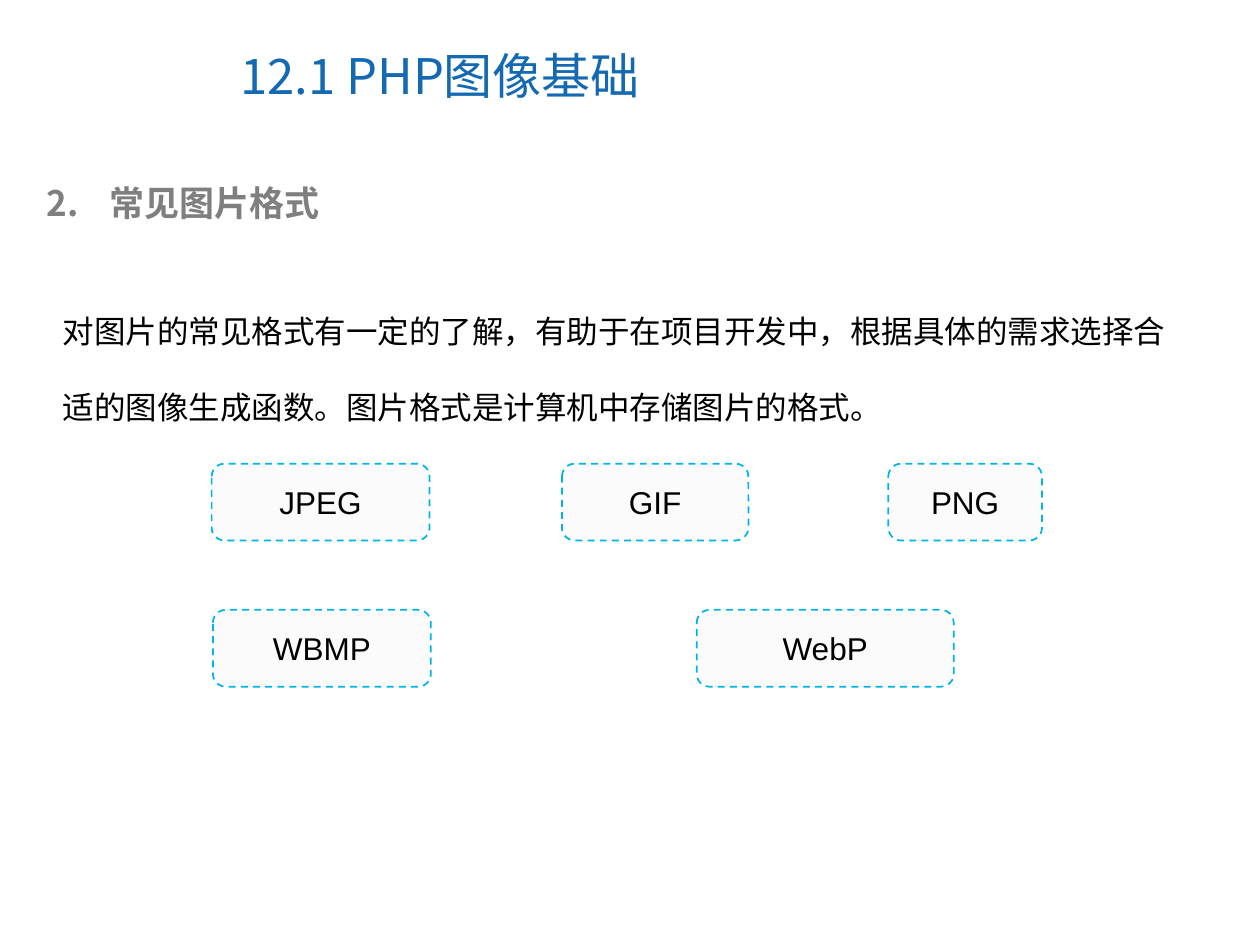
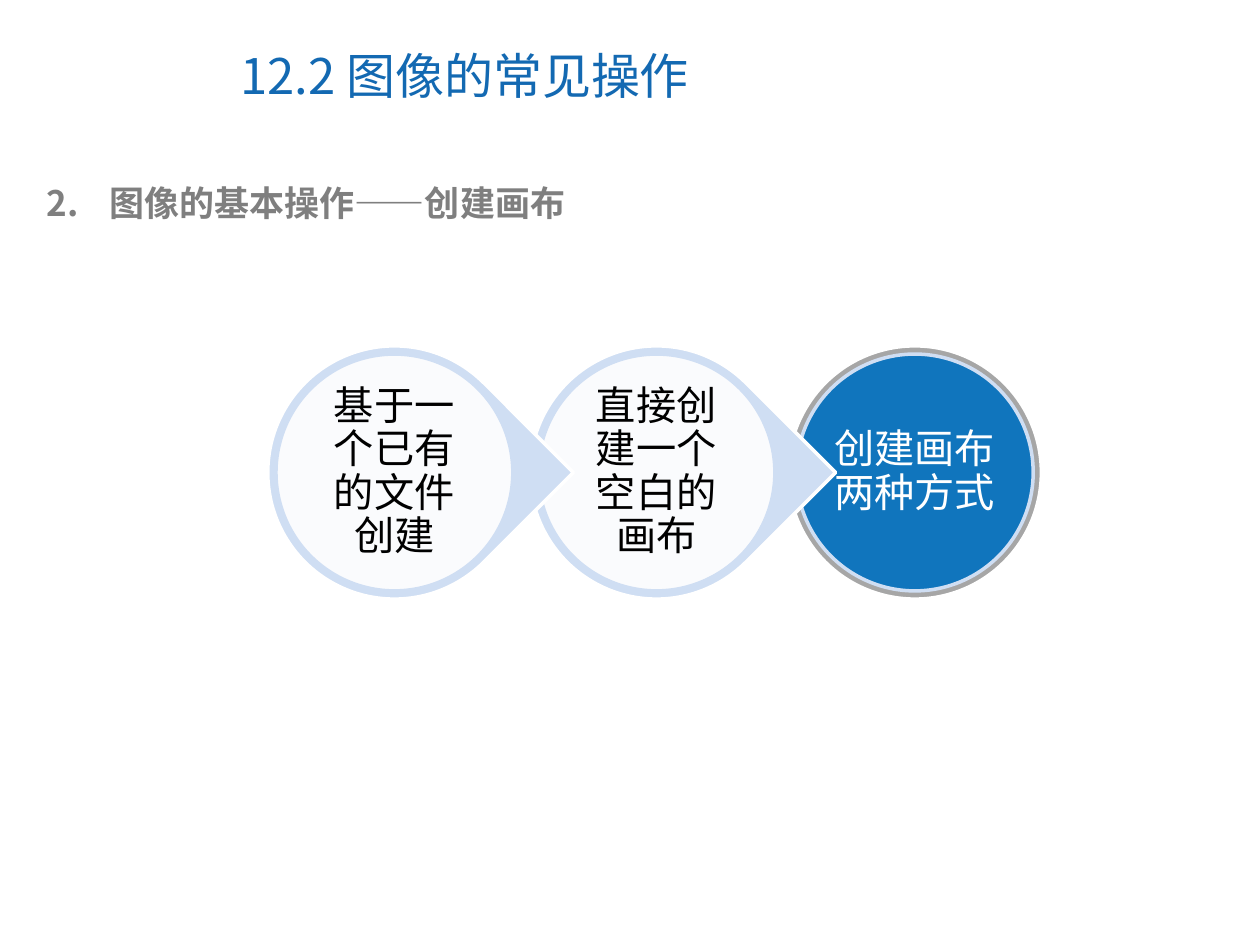
from lxml import etree
from pptx import Presentation
from pptx.dml.color import RGBColor
from pptx.enum.dml import MSO_LINE
from pptx.enum.shapes import MSO_SHAPE
from pptx.enum.text import MSO_ANCHOR, PP_ALIGN
from pptx.oxml.ns import qn
from pptx.util import Inches, Pt

ROUNDED = MSO_SHAPE.ROUNDED_RECTANGLE
OVAL = MSO_SHAPE.OVAL
TEAR = MSO_SHAPE.TEAR
DASH = MSO_LINE.DASH
MIDDLE = MSO_ANCHOR.MIDDLE
TOP = MSO_ANCHOR.TOP
CENTER = PP_ALIGN.CENTER
LEFT = PP_ALIGN.LEFT

COLORS = {
    "title": "1369B2",
    "heading": "7F7F7F",
    "text": "000000",
    "white": "FFFFFF",
    "tag": "FBFBFB",
    "tag_line": "00B4E9",
    "pale_blue": "CFDEF3",
    "ring": "A6A6A6",
    "goal": "0070C0",
}
CJK = "Noto Sans CJK SC"
LATIN = "Arial"

TITLE_BOX = (1.81, 0.17, 5.16, 0.85)
HEADING_BOX = (0.27, 1.39, 9.22, 0.44)
INTRO_BOX = (0.4, 2.13, 9.19, 1.3)
TAG_HEIGHT = 0.61
CIRCLE = 1.88
OUTER = 2.01


def color(name):
    return RGBColor.from_string(COLORS[name])


def style_font(para, size, color_name, name=LATIN, bold=False):
    font = para.font
    font.size = Pt(size)
    font.bold = bold
    font.color.rgb = color(color_name)
    font.name = name
    latin = font._element.find(qn("a:latin"))
    east_asian = etree.Element(qn("a:ea"), typeface=CJK)
    latin.addnext(east_asian)


def number_paragraph(para, start, color_name):
    """Give the paragraph an automatic number with a hanging indent."""
    properties = para._p.get_or_add_pPr()
    properties.set("marL", str(Inches(0.5)))
    properties.set("indent", str(-Inches(0.5)))
    bullet_color = etree.SubElement(properties, qn("a:buClr"))
    etree.SubElement(bullet_color, qn("a:srgbClr"), val=COLORS[color_name])
    etree.SubElement(properties, qn("a:buAutoNum"),
                     type="arabicPeriod", startAt=str(start))


def write(shape, text, align=LEFT, anchor=TOP):
    """Put one paragraph of text into the shape and return it."""
    frame = shape.text_frame
    frame.word_wrap = True
    frame.vertical_anchor = anchor
    para = frame.paragraphs[0]
    para.text = text
    para.alignment = align
    return para


def add_text(page, box, text, anchor=TOP):
    return write(page.shapes.add_textbox(*map(Inches, box)), text, anchor=anchor)


def add_figure(page, kind, box, fill, line, line_width):
    shape = page.shapes.add_shape(kind, *map(Inches, box))
    shape.shadow.inherit = False
    shape.fill.solid()
    shape.fill.fore_color.rgb = color(fill)
    shape.line.color.rgb = color(line)
    shape.line.width = Pt(line_width)
    return shape


def add_page(deck, title, heading):
    """Add a page with the shared title and numbered heading."""
    page = deck.slides.add_slide(deck.slide_layouts[6])
    style_font(add_text(page, TITLE_BOX, title, MIDDLE), 28, "title", CJK)
    para = add_text(page, HEADING_BOX, heading)
    number_paragraph(para, 2, "heading")
    style_font(para, 20, "heading", CJK, bold=True)
    return page


def add_format_tag(page, left, top, width, label):
    tag = add_figure(page, ROUNDED, (left, top, width, TAG_HEIGHT),
                     "tag", "tag_line", 1)
    tag.line.dash_style = DASH
    style_font(write(tag, label, CENTER, MIDDLE), 18, "text")


def centered_box(center_x, center_y, size):
    return center_x - size / 2, center_y - size / 2, size, size


def add_circle(page, center, text, fill, text_color, inset):
    circle = add_figure(page, OVAL, centered_box(*center, CIRCLE),
                        fill, "pale_blue", 2)
    fill_color = circle._element.spPr.find(qn("a:solidFill"))[0]
    etree.SubElement(fill_color, qn("a:alpha"), val="90000")
    frame = circle.text_frame
    frame.margin_left = frame.margin_right = Inches(inset)
    frame.margin_top = frame.margin_bottom = Inches(0.02)
    para = write(circle, text, CENTER, MIDDLE)
    para.line_spacing = 0.9
    para.space_after = Pt(10)
    style_font(para, 23, text_color)


def add_step(page, center, text):
    """Add a circle on a drop that points to the right."""
    drop = add_figure(page, TEAR, centered_box(*center, OUTER),
                      "pale_blue", "white", 2)
    drop.rotation = 45
    add_circle(page, center, text, "white", "text", 0.06)


def add_goal(page, center, text):
    add_figure(page, OVAL, centered_box(*center, OUTER), "ring", "white", 2)
    add_circle(page, center, text, "goal", "white", 0.02)


def build_formats_page(deck):
    page = add_page(deck, "12.1 PHP图像基础", "常见图片格式")
    intro = add_text(page, INTRO_BOX,
                     "对图片的常见格式有一定的了解，有助于在项目开发中，"
                     "根据具体的需求选择合适的图像生成函数。"
                     "图片格式是计算机中存储图片的格式。")
    intro.line_spacing = 2
    style_font(intro, 18, "text")
    tag_rows = {
        3.68: [(1.68, 1.73, "JPEG"), (4.46, 1.48, "GIF"), (7.05, 1.22, "PNG")],
        4.84: [(1.69, 1.73, "WBMP"), (5.53, 2.04, "WebP")],
    }
    for top, tags in tag_rows.items():
        for left, width, label in tags:
            add_format_tag(page, left, top, width, label)


def build_canvas_page(deck):
    page = add_page(deck, "12.2 图像的常见操作", "图像的基本操作——创建画布")
    middle = 3.75
    add_goal(page, (7.26, middle), "创建画布两种方式")
    add_step(page, (5.21, middle), "直接创建一个空白的画布")
    add_step(page, (3.13, middle), "基于一个已有的文件创建")


def main():
    deck = Presentation()
    deck.slide_width = Inches(10)
    deck.slide_height = Inches(7.5)
    build_formats_page(deck)
    build_canvas_page(deck)
    deck.save("out.pptx")


if __name__ == "__main__":
    main()
